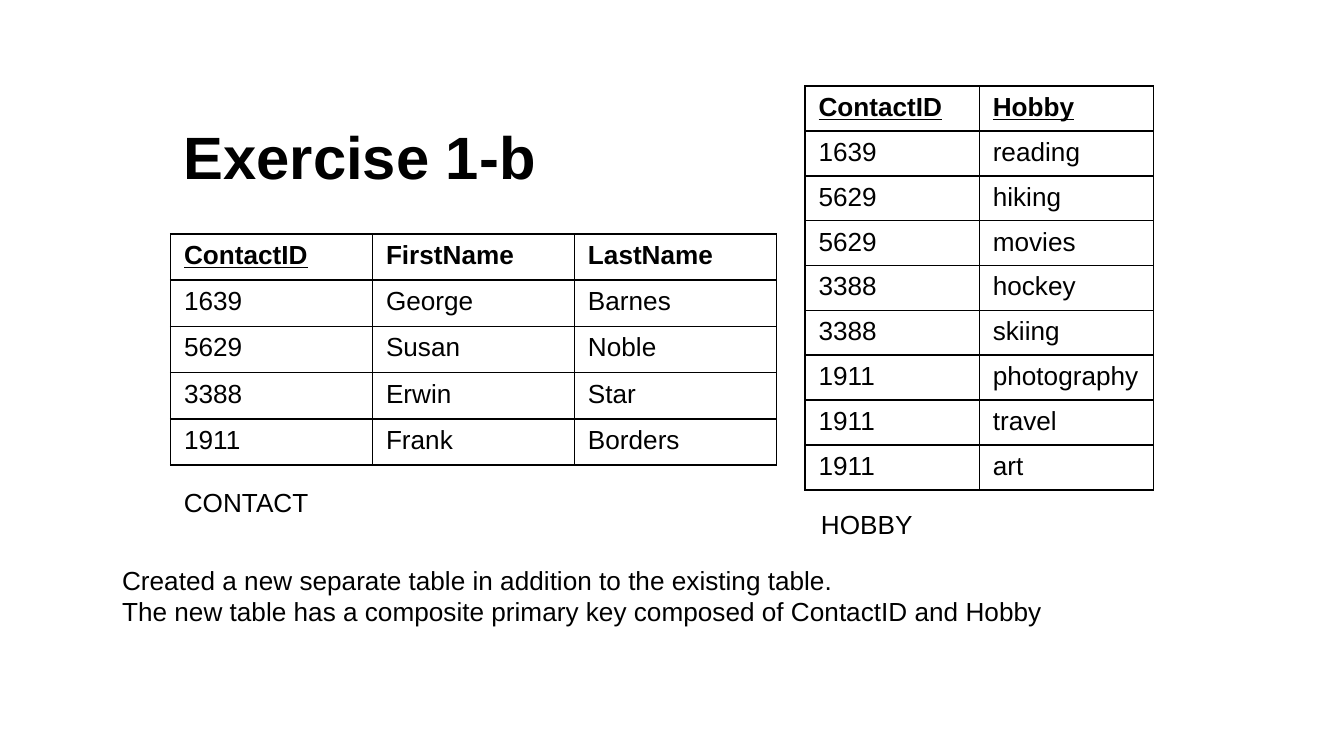
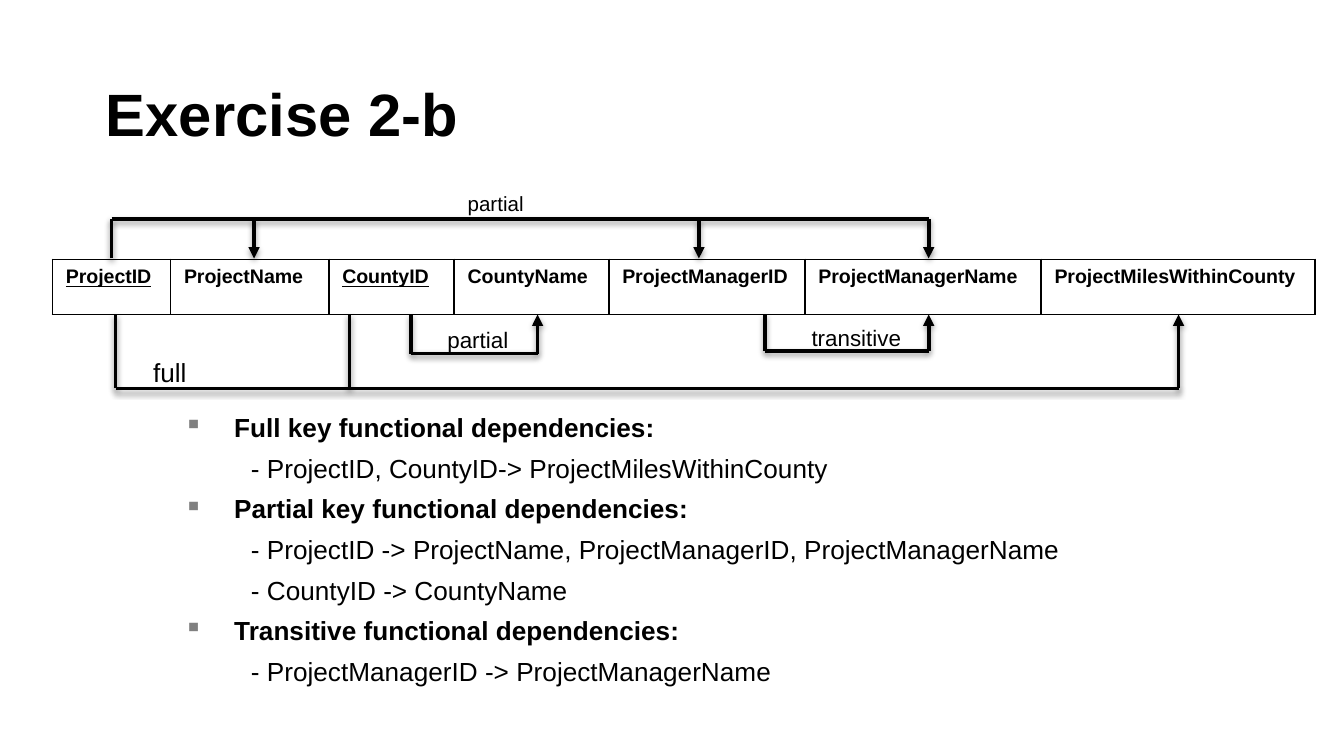
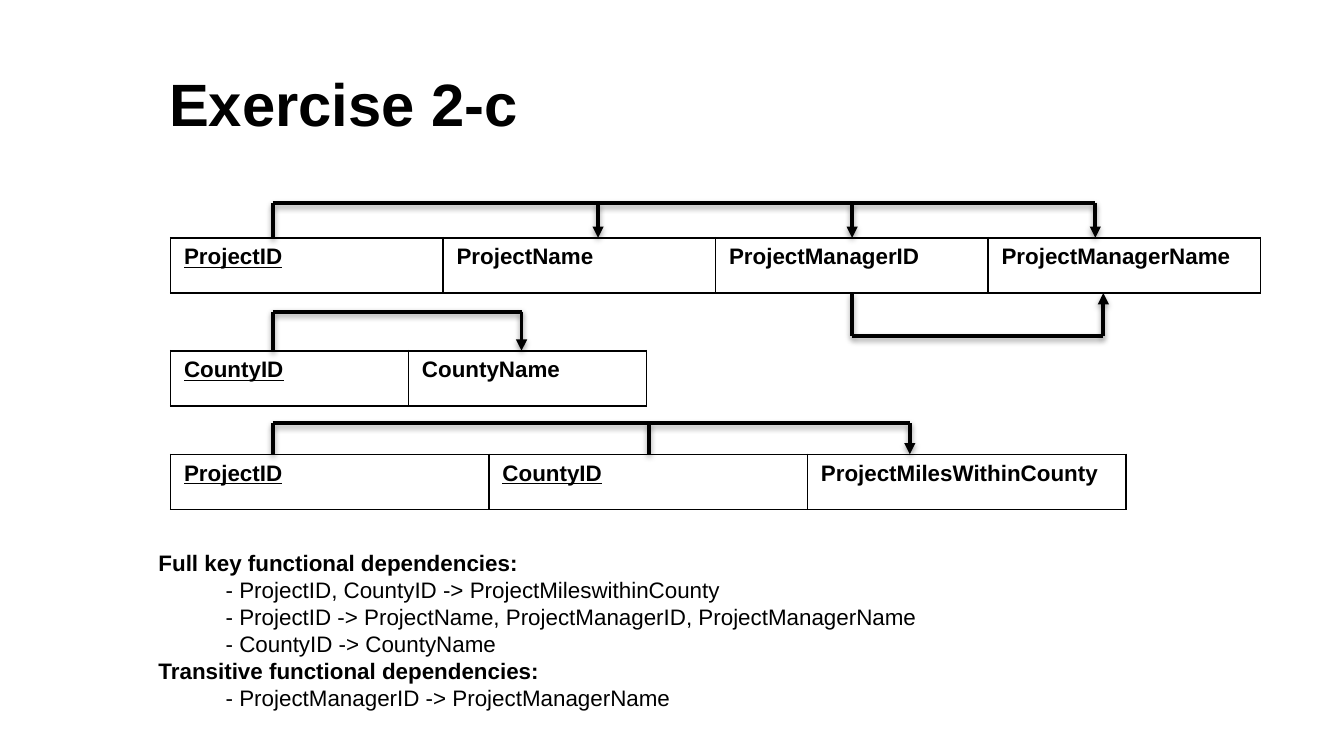
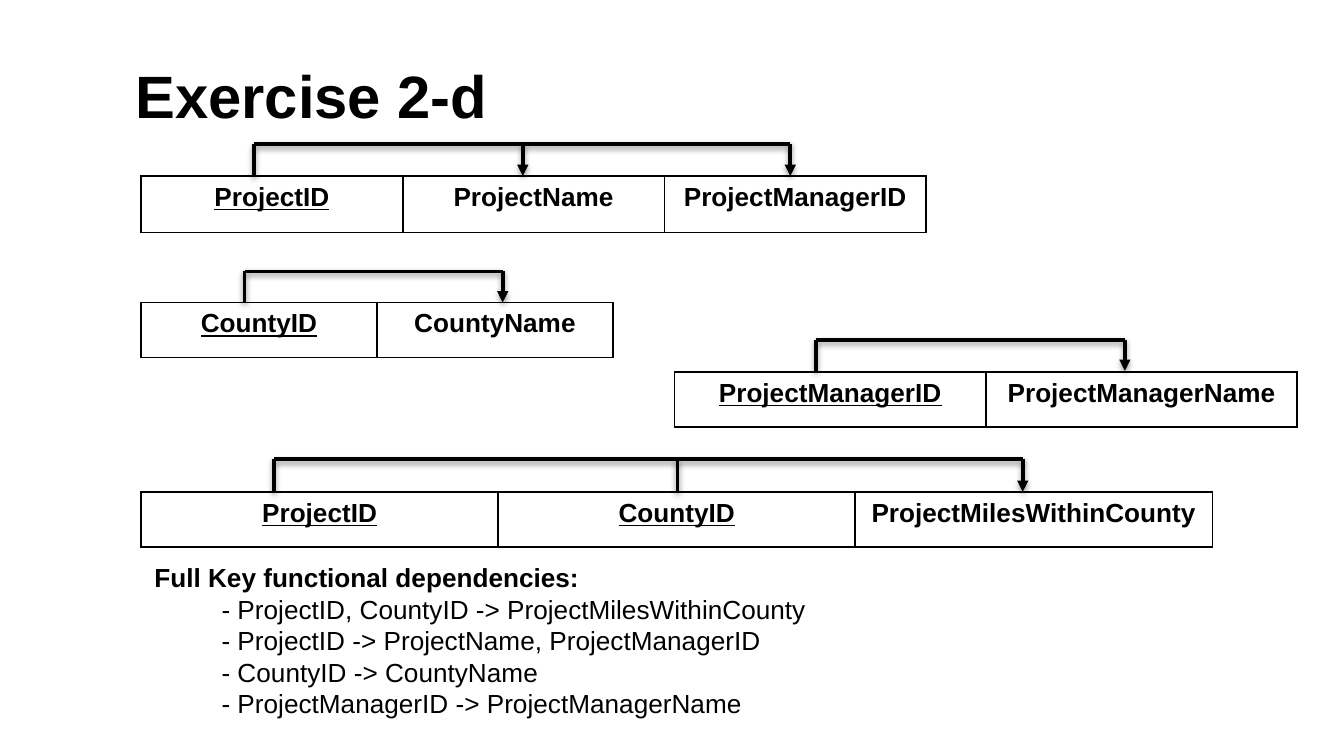
from dataclasses import dataclass

from lxml.etree import SubElement
from pptx import Presentation
from pptx.dml.color import RGBColor as Color
from pptx.enum.shapes import MSO_CONNECTOR as Connector
from pptx.enum.text import MSO_ANCHOR as Anchor, PP_ALIGN as Align
from pptx.oxml import parse_xml
from pptx.oxml.ns import nsdecls, qn
from pptx.util import Pt


@dataclass(frozen=True)
class Theme:
    font: str = "Arial"
    ink: str = "000000"
    bullet: str = "808080"
    title: float = 32
    large: float = 14
    medium: float = 12
    small: float = 11
    compact: float = 10.5
    border: float = 1
    arrow: float = 2


theme = Theme()
title_size = (535.7, 67.7)
item_indent = 36
bullet_indent = 27

shadow_xml = (
    f'<a:effectLst {nsdecls("a")}><a:outerShdw blurRad="{Pt(3.1)}" dist="{Pt(1.6)}" '
    f'dir="5400000" rotWithShape="0"><a:srgbClr val="{theme.ink}"><a:alpha val="38000"/>'
    "</a:srgbClr></a:outerShdw></a:effectLst>"
)


def write_text(paragraph, text, size, bold=False, underline=False):
    run = paragraph.add_run()
    run.text = text
    formats = {"name": theme.font, "size": Pt(size), "bold": bold, "underline": underline}
    for name, value in formats.items():
        setattr(run.font, name, value)
    run.font.color.rgb = Color.from_string(theme.ink)


def add_line(slide, start, end, arrow=False):
    line = slide.shapes.add_connector(Connector.STRAIGHT, *map(Pt, start + end))
    line.line.width = Pt(theme.arrow)
    line.line.color.rgb = Color.from_string(theme.ink)
    if arrow:
        SubElement(line.line._get_or_add_ln(), qn("a:tailEnd"), type="triangle")
    line._element.spPr.append(parse_xml(shadow_xml))


pages = [
    {
        "title": ("Exercise 1-b", 91.4, 49.7),
        "tables": [
            (91.4, 125.3, [108.2] * 3, 24.8, theme.large, Align.LEFT, "ContactID",
             ["ContactID FirstName LastName", "1639 George Barnes", "5629 Susan Noble",
              "3388 Erwin Star", "1911 Frank Borders"]),
            (431.3, 46.1, [93.4] * 2, 23, theme.large, Align.LEFT, "ContactID Hobby",
             ["ContactID Hobby", "1639 reading", "5629 hiking", "5629 movies", "3388 hockey",
              "3388 skiing", "1911 photography", "1911 travel", "1911 art"]),
        ],
        "labels": [
            ("CONTACT", 91.4, 257, 82.1, 24.5, theme.large),
            ("HOBBY", 432.7, 268.6, 64.1, 24.5, theme.large),
        ],
        "notes": (58.3, 298.8, 601.2, 41, theme.large, False, [
            "Created a new separate table in addition to the existing table.",
            "The new table has a composite primary key composed of ContactID and Hobby",
        ]),
        "dependencies": [],
    },
    {
        "title": ("Exercise 2-b", 49.7, 26.6),
        "tables": [
            (28.1, 139, [63.3, 84.8, 67.2, 82.8, 105.1, 126.5, 146.9], 29.5, theme.compact,
             Align.LEFT, "ProjectID CountyID",
             ["ProjectID ProjectName CountyID CountyName ProjectManagerID "
              "ProjectManagerName ProjectMilesWithinCounty"]),
        ],
        "labels": [
            ("partial", 232.6, 171.4, 47.5, 21.6, theme.medium),
            ("partial", 243.4, 98.6, 44.6, 20.9, theme.small),
            ("transitive", 427.7, 169.9, 62.6, 21.6, theme.medium),
            ("full", 74.9, 187.2, 32.4, 24.5, theme.large),
        ],
        "notes": (91.4, 218.9, 556.6, 159.1, theme.large, True, [
            "Full key functional dependencies:",
            "- ProjectID, CountyID-> ProjectMilesWithinCounty",
            "Partial key functional dependencies:",
            "- ProjectID -> ProjectName, ProjectManagerID, ProjectManagerName",
            "- CountyID -> CountyName",
            "Transitive functional dependencies:",
            "- ProjectManagerID -> ProjectManagerName",
        ]),
        "dependencies": [
            (168.5, 208.1, [61.9, 187.2], [631.4]),
            (168.5, 189.4, [220.3], [288]),
            (168.5, 188, [409.7], [497.5]),
            (138.5, 117.4, [59.8], [136.1, 374.4, 497.5]),
        ],
    },
    {
        "title": ("Exercise 2-c", 83.5, 20.9),
        "tables": [
            (91.4, 127.4, [146] * 4, 29.5, theme.medium, Align.LEFT, "ProjectID",
             ["ProjectID ProjectName ProjectManagerID ProjectManagerName"]),
            (91.4, 187.9, [127.5] * 2, 29.5, theme.medium, Align.LEFT, "CountyID",
             ["CountyID CountyName"]),
            (91.4, 243.4, [170.6] * 3, 29.5, theme.medium, Align.LEFT, "ProjectID CountyID",
             ["ProjectID CountyID ProjectMilesWithinCounty"]),
        ],
        "labels": [],
        "notes": (77.8, 290.9, 424.1, 94.3, theme.medium, False, [
            "Full key functional dependencies:",
            "- ProjectID, CountyID -> ProjectMileswithinCounty",
            "- ProjectID -> ProjectName, ProjectManagerID, ProjectManagerName",
            "- CountyID -> CountyName",
            "Transitive functional dependencies:",
            "- ProjectManagerID -> ProjectManagerName",
        ]),
        "dependencies": [
            (127.4, 108.7, [146.2], [320.4, 456.5, 586.8]),
            (187.9, 167, [146.2], [279.4]),
            (157, 180, [456.5], [591.1]),
            (243.4, 226.8, [146.2, 347.8], [487.4]),
        ],
    },
    {
        "title": ("Exercise 2-d", 65.5, 16.6),
        "tables": [
            (75.6, 94.3, [140.2] * 3, 30.2, theme.large, Align.CENTER, "ProjectID",
             ["ProjectID ProjectName ProjectManagerID"]),
            (75.6, 162, [126.4] * 2, 29.5, theme.large, Align.CENTER, "CountyID",
             ["CountyID CountyName"]),
            (361.4, 199.4, [166.8] * 2, 29.5, theme.large, Align.CENTER, "ProjectManagerID",
             ["ProjectManagerID ProjectManagerName"]),
            (75.6, 263.5, [191.3] * 3, 29.5, theme.large, Align.CENTER, "ProjectID CountyID",
             ["ProjectID CountyID ProjectMilesWithinCounty"]),
        ],
        "labels": [],
        "notes": (75.6, 297.4, 365.8, 92.2, theme.large, False, [
            "Full Key functional dependencies:",
            "- ProjectID, CountyID -> ProjectMilesWithinCounty",
            "- ProjectID -> ProjectName, ProjectManagerID",
            "- CountyID -> CountyName",
            "- ProjectManagerID -> ProjectManagerName",
        ]),
        "dependencies": [
            (94.3, 77, [136.1], [280.1, 423.4]),
            (162, 145.4, [131], [269.3]),
            (198.7, 182.2, [437], [602.6]),
            (263.5, 245.9, [146.9, 362.9], [547.9]),
        ],
    },
]

presentation = Presentation()
presentation.slide_width, presentation.slide_height = Pt(720), Pt(405)

for page in pages:
    slide = presentation.slides.add_slide(presentation.slide_layouts[6])

    title, left, top = page["title"]
    frame = slide.shapes.add_textbox(*map(Pt, (left, top, *title_size))).text_frame
    frame.word_wrap = True
    frame.vertical_anchor = Anchor.MIDDLE
    write_text(frame.paragraphs[0], title, theme.title, bold=True)

    for left, top, widths, row_height, size, alignment, keys, rows in page["tables"]:
        box = (left, top, sum(widths), row_height * len(rows))
        table = slide.shapes.add_table(len(rows), len(widths), *map(Pt, box)).table
        table.first_row = table.horz_banding = False
        for column, width in zip(table.columns, widths):
            column.width = Pt(width)
        for row_index, row in enumerate(rows):
            table.rows[row_index].height = Pt(row_height)
            for column_index, text in enumerate(row.split()):
                cell = table.cell(row_index, column_index)
                paragraph = cell.text_frame.paragraphs[0]
                paragraph.alignment = alignment
                write_text(paragraph, text, size, row_index == 0, text in keys.split())
                properties = cell._tc.get_or_add_tcPr()
                for side in "LRTB":
                    border = SubElement(properties, qn(f"a:ln{side}"), w=str(Pt(theme.border)))
                    fill = SubElement(border, qn("a:solidFill"))
                    SubElement(fill, qn("a:srgbClr"), val=theme.ink)
                cell.fill.background()

    for text, left, top, width, height, size in page["labels"]:
        frame = slide.shapes.add_textbox(*map(Pt, (left, top, width, height))).text_frame
        frame.word_wrap = False
        write_text(frame.paragraphs[0], text, size)

    left, top, width, height, size, bulleted, lines = page["notes"]
    frame = slide.shapes.add_textbox(*map(Pt, (left, top, width, height))).text_frame
    frame.word_wrap = True
    for index, text in enumerate(lines):
        paragraph = frame.add_paragraph() if index else frame.paragraphs[0]
        heading = text.endswith(":")
        write_text(paragraph, text, size, bold=heading)
        properties = paragraph._p.get_or_add_pPr()
        if bulleted:
            paragraph.line_spacing = 0.9
            paragraph.space_after = Pt(6.6)
        if text.startswith("-"):
            properties.set("marL", str(Pt(item_indent)))
        elif heading and bulleted:
            properties.set("marL", str(Pt(bullet_indent)))
            properties.set("indent", str(Pt(-bullet_indent)))
            bullet_color = SubElement(properties, qn("a:buClr"))
            SubElement(bullet_color, qn("a:srgbClr"), val=theme.bullet)
            SubElement(properties, qn("a:buChar"), char="▪")

    for edge, bar, sources, targets in page["dependencies"]:
        ends = sources + targets
        add_line(slide, (min(ends), bar), (max(ends), bar))
        for x in sources:
            add_line(slide, (x, edge), (x, bar))
        for x in targets:
            add_line(slide, (x, bar), (x, edge), arrow=True)

presentation.save("out.pptx")
